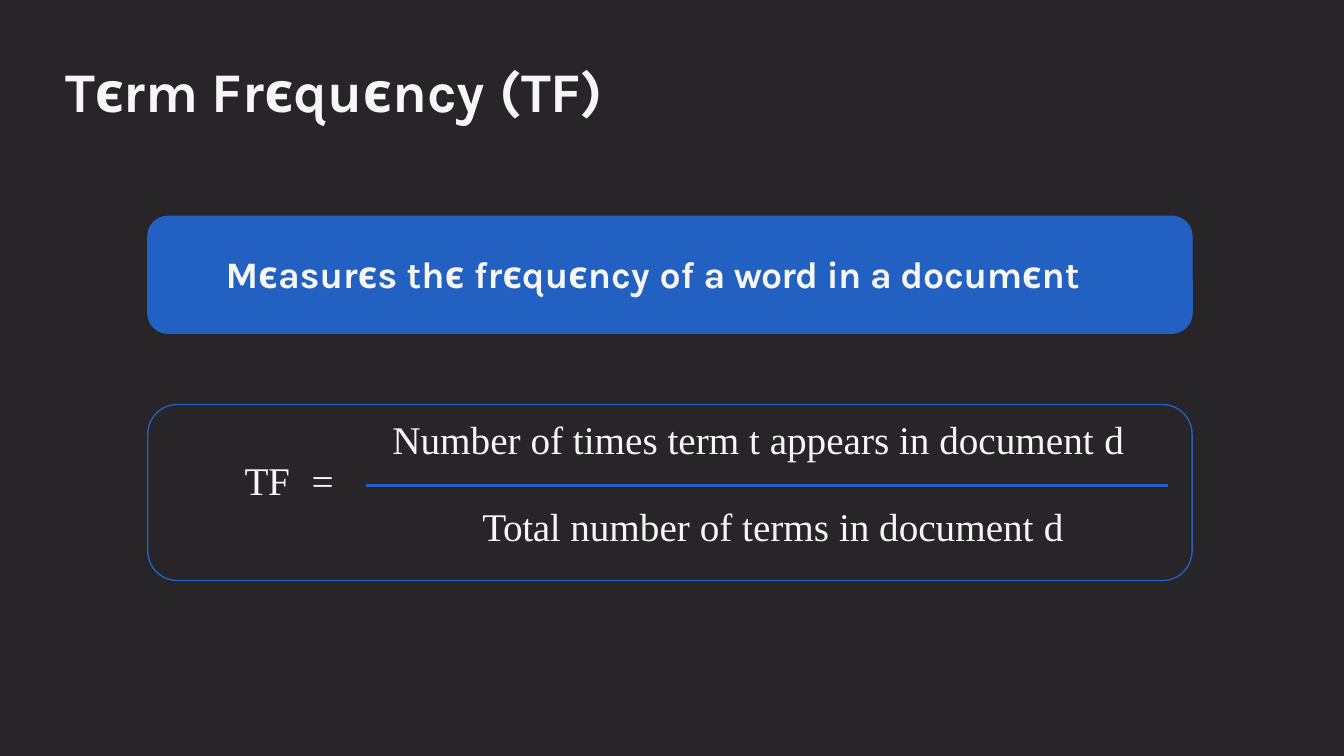
from lxml import etree
from pptx import Presentation, util as u
from pptx.dml.color import RGBColor
from pptx.enum import shapes, text
from pptx.oxml import ns

COLORS = {"background": "272528", "blue": "2261C1", "text": "F6F6F6"}


def color(name):
    return RGBColor.from_string(COLORS[name])


def write(page, box, paragraphs, font="Karla", size=20, bold=False):
    """Each paragraph is a dict: spans of (text, tracking in points), indent, line, tab."""
    frame = page.shapes.add_textbox(*map(u.Inches, box)).text_frame
    frame.word_wrap = True
    frame.auto_size = text.MSO_AUTO_SIZE.SHAPE_TO_FIT_TEXT
    frame.margin_left = frame.margin_right = frame.margin_bottom = 0
    frame.margin_top = u.Inches(0.01)
    for index, content in enumerate(paragraphs):
        para = frame.add_paragraph() if index else frame.paragraphs[0]
        if index == 0:
            para.space_before = u.Pt(1)
        if "line" in content:
            para.line_spacing = u.Pt(content["line"])
        properties = para._p.get_or_add_pPr()
        properties.set("marL", str(u.Inches(content.get("indent", 0.01))))
        properties.set("indent", "0")
        if "tab" in content:
            tabs = etree.SubElement(properties, ns.qn("a:tabLst"))
            etree.SubElement(tabs, ns.qn("a:tab"),
                             pos=str(u.Inches(content["tab"])), algn="l")
        for words, tracking in content["spans"]:
            span = para.add_run()
            span.text = words
            span.font.name = font
            span.font.size = u.Pt(size)
            span.font.bold = bold
            span.font.color.rgb = color("text")
            span.font._element.set("spc", str(round(tracking * 100)))


def add_panel(page, box, radius, filled):
    panel = page.shapes.add_shape(shapes.MSO_SHAPE.ROUNDED_RECTANGLE,
                                  *map(u.Inches, box))
    panel.adjustments[0] = radius / box[3]
    panel.shadow.inherit = False
    if filled:
        panel.fill.solid()
        panel.fill.fore_color.rgb = color("blue")
    else:
        panel.fill.background()
    panel.line.color.rgb = color("blue")
    panel.line.width = u.Pt(0.75)


def add_title(page, box):
    spans = [("Tєrm ", -0.3), ("Frєquєncy ", 0), ("(TF)", -0.2)]
    write(page, box, [{"spans": spans}], size=30, bold=True)


def add_banner(page, box):
    left, top, width, height = box
    add_panel(page, box, radius=0.15, filled=True)
    spans = [("Mєasurєs thє frєquєncy ", 0), ("of ", -0.1), ("a ", -0.6),
             ("word ", -0.5), ("in ", -0.4), ("a ", -0.6), ("documєnt", -0.1)]
    write(page, (left + 0.57, top + 0.25, 6.63, 0.36), [{"spans": spans}], bold=True)


def add_formula(page, box):
    left, top, width, height = box
    bar_y = u.Inches(top + 0.6)
    bar = page.shapes.add_connector(shapes.MSO_CONNECTOR.STRAIGHT,
                                    u.Inches(left + 1.62), bar_y,
                                    u.Inches(left + 7.59), bar_y)
    bar.line.color.rgb = color("blue")
    bar.line.width = u.Pt(1.5)
    etree.SubElement(bar._element.spPr, ns.qn("a:effectLst"))

    numerator = [("Number of times term t appears in document ", 0), ("d", -0.5)]
    term = [("TF\t", -0.2), ("=", -0.5)]
    denominator = [("Total ", -0.2), ("number of terms in document ", 0), ("d", -0.5)]
    write(page, (left + 0.71, top + 0.1, 6.57, 0.99), [
        {"spans": numerator, "indent": 1.11, "line": 23.1},
        {"spans": term, "line": 22.1, "tab": 0.5},
        {"spans": denominator, "indent": 1.78, "line": 24.2},
    ], font="Times New Roman", size=21)
    add_panel(page, box, radius=0.22, filled=False)


def main():
    deck = Presentation()
    deck.slide_width = u.Inches(10)
    deck.slide_height = deck.slide_width * 9 // 16
    page = deck.slides.add_slide(deck.slide_layouts[6])
    page.background.fill.solid()
    page.background.fill.fore_color.rgb = color("background")
    add_title(page, (0.48, 0.41, 4.81, 0.53))
    add_banner(page, (1.1, 1.61, 7.77, 0.87))
    add_formula(page, (1.1, 3.01, 7.77, 1.31))
    deck.save("out.pptx")


if __name__ == "__main__":
    main()
